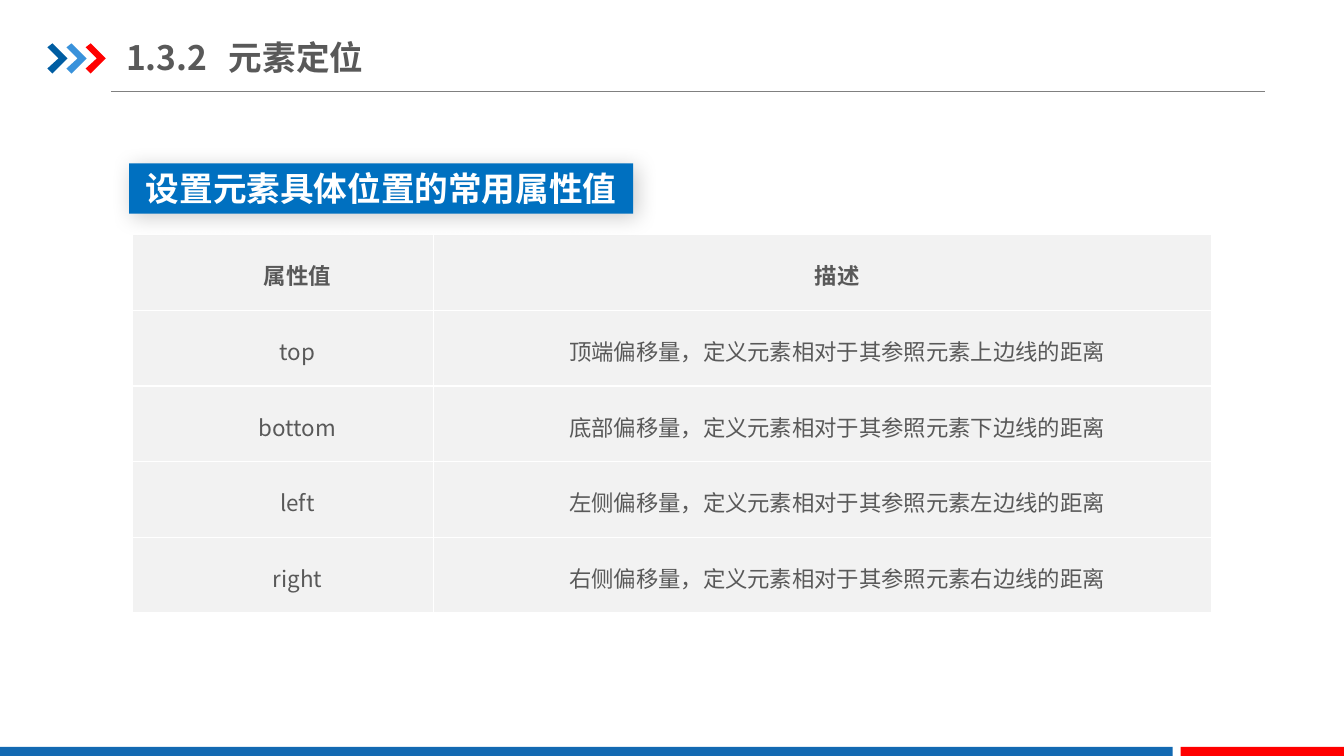
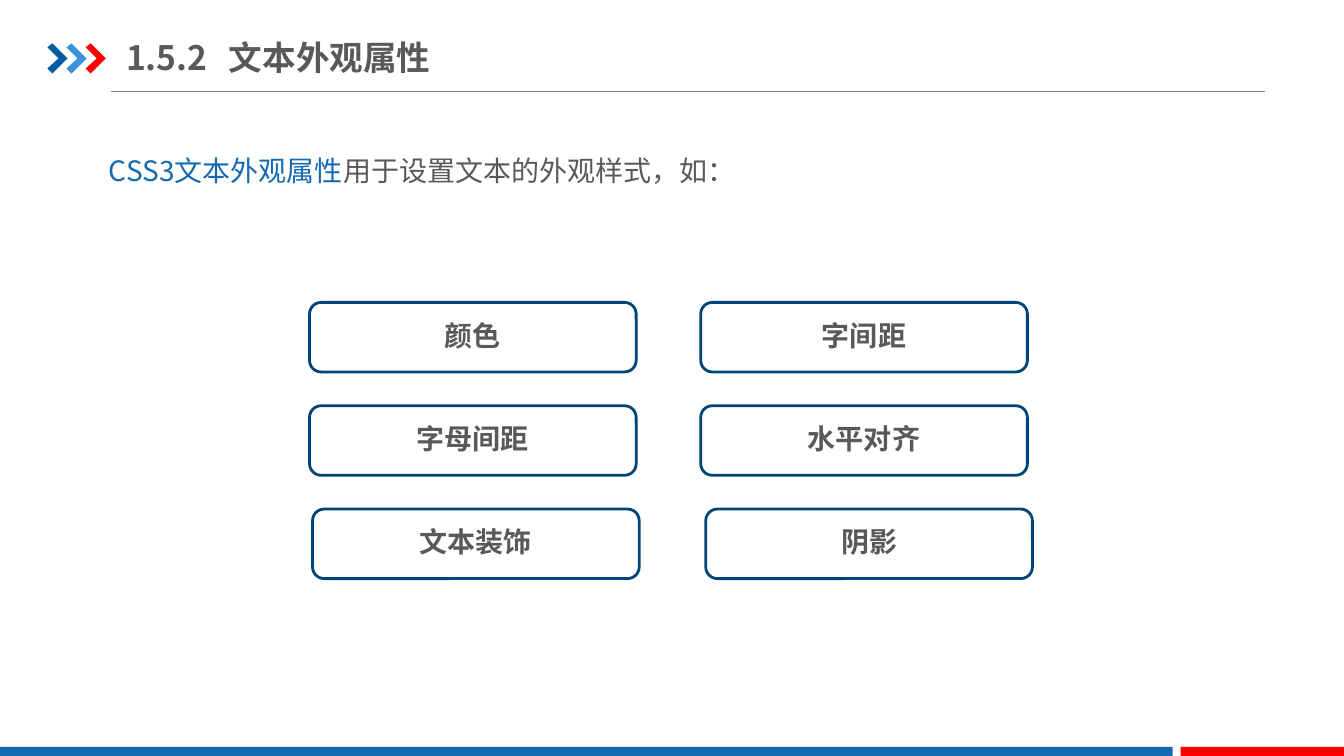
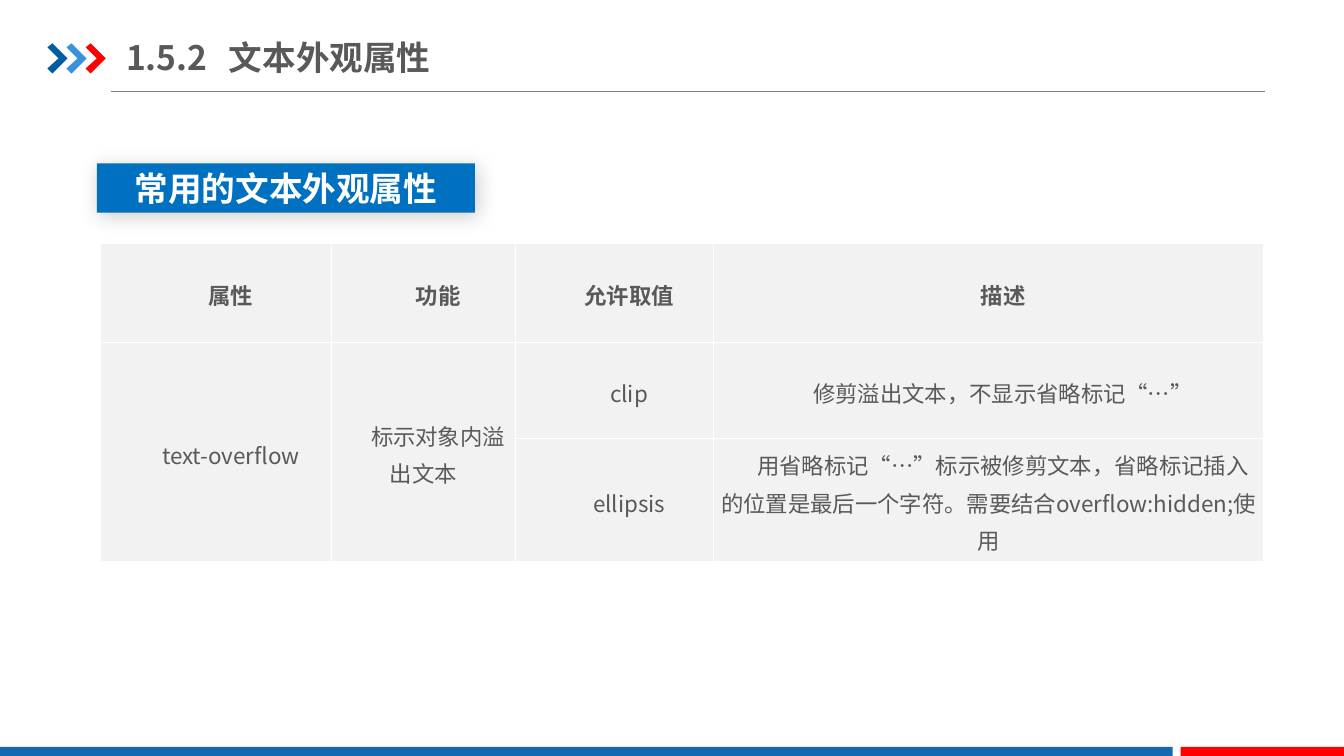
from dataclasses import dataclass

from lxml import etree
from pptx import Presentation
from pptx.dml.color import RGBColor
from pptx.enum.shapes import MSO_CONNECTOR, MSO_SHAPE
from pptx.enum.text import MSO_ANCHOR, PP_ALIGN
from pptx.oxml.ns import qn
from pptx.util import Inches, Pt

RECT = MSO_SHAPE.RECTANGLE
ROUND = MSO_SHAPE.ROUNDED_RECTANGLE
LINE = MSO_CONNECTOR.STRAIGHT
TOP = MSO_ANCHOR.TOP
MIDDLE = MSO_ANCHOR.MIDDLE
LEFT = PP_ALIGN.LEFT
CENTER = PP_ALIGN.CENTER
JUSTIFY = PP_ALIGN.JUSTIFY


@dataclass(frozen=True)
class Theme:
    font: str = "Noto Sans CJK SC"
    blue: str = "1369B2"
    red: str = "FF0000"
    navy: str = "005DA2"
    sky: str = "3992DB"
    label: str = "0070C0"
    edge: str = "004578"
    rule: str = "808080"
    ink: str = "595959"
    cell: str = "F2F2F2"
    white: str = "FFFFFF"
    black: str = "000000"
    head: int = 24
    body: int = 20
    small: int = 16


def rgb(color):
    return RGBColor.from_string(color)


def add(parent, tag, **attrs):
    return etree.SubElement(parent, qn(tag), {k: str(v) for k, v in attrs.items()})


class Deck:
    def __init__(self, theme):
        self.theme = theme
        self.prs = Presentation()
        self.prs.slide_width = Inches(13.33)
        self.prs.slide_height = Inches(7.5)
        self.slide = None

    def start(self, number, name):
        t = self.theme
        self.slide = self.prs.slides.add_slide(self.prs.slide_layouts[6])
        self.shape(RECT, 0, 7.41, 11.63, 0.09, t.blue)
        self.shape(RECT, 11.71, 7.41, 1.62, 0.09, t.red)
        self.rule(1.1, 0.91, 12.55)
        for i, color in enumerate((t.navy, t.sky, t.red)):
            self.arrow(0.47 + i * 0.19, 0.43, color)
        frame = self.box(1.25, 0.29, 5.18, 0.55, (0, 0.07), MIDDLE)
        para = frame.paragraphs[0]
        tabs = add(para._p.get_or_add_pPr(), "a:tabLst")
        add(tabs, "a:tab", pos=Inches(1.02), algn="l")
        self.text(para, f"{number}\t{name}", t.head, t.ink, True, LEFT)

    def text(self, para, words, size, color, bold=False, align=CENTER):
        para.alignment = align
        font = para.font
        font.size = Pt(size)
        font.bold = bold
        font.name = self.theme.font
        if color:
            font.color.rgb = rgb(color)
        add(font._element, "a:ea", typeface=self.theme.font)
        if words:
            para.add_run().text = words

    def paint(self, shape, fill):
        shape.shadow.inherit = False
        shape.fill.solid()
        shape.fill.fore_color.rgb = rgb(fill)
        shape.line.fill.background()

    def shape(self, kind, x, y, w, h, fill):
        item = self.slide.shapes.add_shape(
            kind, Inches(x), Inches(y), Inches(w), Inches(h))
        self.paint(item, fill)
        return item

    def rule(self, x, y, end):
        line = self.slide.shapes.add_connector(
            LINE, Inches(x), Inches(y), Inches(end), Inches(y))
        line.line.color.rgb = rgb(self.theme.rule)
        line.line.width = Pt(0.75)
        add(line._element.spPr, "a:effectLst")

    def arrow(self, x, y, color):
        dots = ((0, 0.04), (0.05, 0), (0.2, 0.15),
                (0.05, 0.3), (0, 0.25), (0.11, 0.15))
        dots = [(Inches(x + dx), Inches(y + dy)) for dx, dy in dots]
        form = self.slide.shapes.build_freeform(*dots[0])
        form.add_line_segments(dots[1:], close=True)
        self.paint(form.convert_to_shape(), color)

    def box(self, x, y, w, h, pad, anchor):
        frame = self.slide.shapes.add_textbox(
            Inches(x), Inches(y), Inches(w), Inches(h)).text_frame
        frame.word_wrap = True
        frame.vertical_anchor = anchor
        frame.margin_left = frame.margin_right = Inches(pad[0])
        frame.margin_top = frame.margin_bottom = Inches(pad[1])
        return frame

    def intro(self, x, y, w, h, parts):
        para = self.box(x, y, w, h, (0.13, 0.07), TOP).paragraphs[0]
        para.line_spacing = 1.5
        self.text(para, "", self.theme.body, None, align=JUSTIFY)
        for words, color in parts:
            run = para.add_run()
            run.text = words
            run.font.color.rgb = rgb(color)

    def label(self, x, y, w, h, words):
        t = self.theme
        item = self.shape(RECT, x, y, w, h, t.label)
        glow = add(item._element.spPr.find(qn("a:effectLst")), "a:outerShdw",
                   blurRad=Pt(15), dist=Pt(3), dir=45 * 60000,
                   algn="tl", rotWithShape=0)
        tint = add(glow, "a:srgbClr", val=t.black)
        add(tint, "a:alpha", val=20000)
        frame = item.text_frame
        frame.vertical_anchor = MIDDLE
        self.text(frame.paragraphs[0], words, t.head, t.white, True)

    def card(self, x, y, words):
        t = self.theme
        item = self.shape(ROUND, x, y, 3.24, 0.69, t.white)
        item.line.color.rgb = rgb(t.edge)
        item.line.width = Pt(2)
        frame = item.text_frame
        frame.vertical_anchor = MIDDLE
        para = frame.paragraphs[0]
        para.line_spacing = 0.9
        para.space_after = Pt(2)
        self.text(para, words, t.body, t.ink, True)

    def fill(self, cell, words, bold):
        t = self.theme
        cell.fill.solid()
        cell.fill.fore_color.rgb = rgb(t.cell)
        cell.vertical_anchor = MIDDLE
        cell.margin_left = cell.margin_right = Inches(0.07)
        cell.margin_top = cell.margin_bottom = 0
        props = cell._tc.get_or_add_tcPr()
        for i, side in enumerate("LRTB"):
            edge = etree.Element(qn(f"a:ln{side}"), w=str(Pt(1)))
            add(add(edge, "a:solidFill"), "a:srgbClr", val=t.white)
            props.insert(i, edge)
        if words:
            para = cell.text_frame.paragraphs[0]
            para._p.get_or_add_pPr().set("indent", str(Inches(0.29)))
            para.line_spacing = 1.15
            self.text(para, words, t.small, t.ink, bold)

    def table(self, x, y, cols, rows, data):
        grid = self.slide.shapes.add_table(
            len(rows), len(cols), Inches(x), Inches(y),
            Inches(sum(cols)), Inches(sum(rows))).table
        grid.first_row = grid.horz_banding = False
        for col, width in zip(grid.columns, cols):
            col.width = Inches(width)
        for row, height in zip(grid.rows, rows):
            row.height = Inches(height)
        for r, texts in enumerate(data):
            for c, words in enumerate(texts):
                self.fill(grid.cell(r, c), words, r == 0)
                if words is None:
                    grid.cell(r - 1, c).merge(grid.cell(r, c))


def main():
    theme = Theme()
    deck = Deck(theme)

    deck.start("1.3.2", "元素定位")
    sides = (("top", "顶端", "上"), ("bottom", "底部", "下"),
             ("left", "左侧", "左"), ("right", "右侧", "右"))
    data = [("属性值", "描述")]
    data += [(key, f"{place}偏移量，定义元素相对于其参照元素{side}边线的距离")
             for key, place, side in sides]
    deck.table(1.31, 2.33, (2.99, 7.72), (0.75,) * 5, data)
    deck.label(1.28, 1.62, 5, 0.5, "设置元素具体位置的常用属性值")

    deck.start("1.5.2", "文本外观属性")
    deck.intro(0.95, 1.29, 11.42, 0.58,
               (("CSS3文本外观属性", theme.blue),
                ("用于设置文本的外观样式，如：", theme.ink)))
    cards = ((3.07, 6.95, "颜色", "字间距"),
             (3.07, 6.95, "字母间距", "水平对齐"),
             (3.1, 7, "文本装饰", "阴影"))
    for i, (left, right, first, second) in enumerate(cards):
        y = 3 + i * 2.05 / 2
        deck.card(left, y, first)
        deck.card(right, y, second)

    deck.start("1.5.2", "文本外观属性")
    deck.label(0.96, 1.62, 3.75, 0.49, "常用的文本外观属性")
    deck.table(1, 2.41, (2.29, 1.82, 1.97, 5.45), (0.99, 0.95, 1.22), (
        ("属性", "功能", "允许取值", "描述"),
        ("text-overflow", "标示对象内溢出文本", "clip",
         "修剪溢出文本，不显示省略标记“…”"),
        (None, None, "ellipsis",
         "用省略标记“…”标示被修剪文本，省略标记插入的位置是最后一个字符。"
         "需要结合overflow:hidden;使用")))

    deck.prs.save("out.pptx")


if __name__ == "__main__":
    main()
